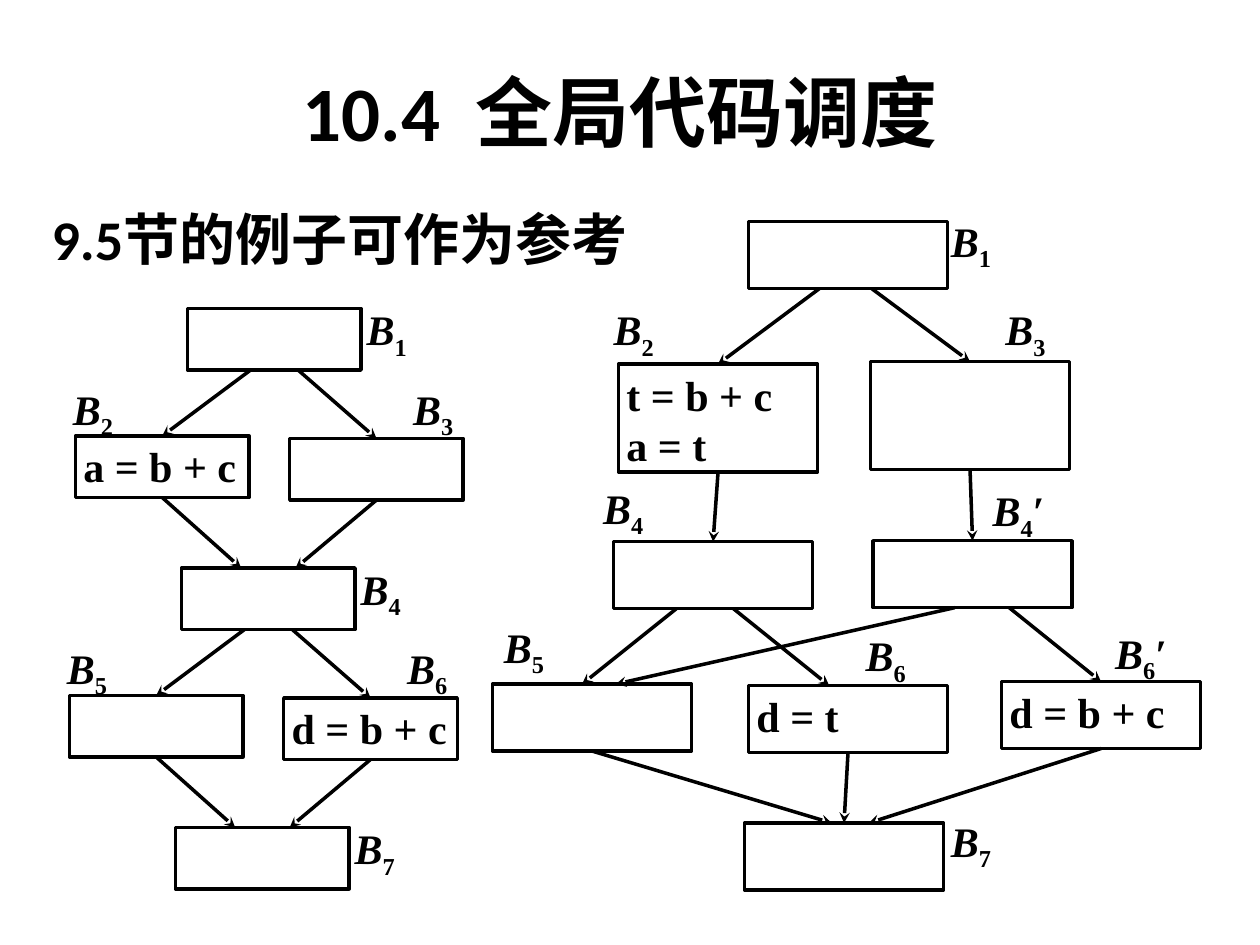
from lxml import etree
from pptx import Presentation
from pptx.dml.color import RGBColor
from pptx.enum.shapes import MSO_CONNECTOR as CONNECTOR
from pptx.enum.shapes import MSO_SHAPE as SHAPE
from pptx.enum.text import MSO_ANCHOR as ANCHOR
from pptx.enum.text import PP_ALIGN as ALIGN
from pptx.oxml.ns import qn
from pptx.util import Cm, Pt

COLORS = {"ink": "000000"}
HEADING_FONT, DIAGRAM_FONT = "Calibri", "Times New Roman"
HANGING = Cm(0.95)
BOTTOM, TOP = 2, 0

# Left graph: (name, left, top, code); B4 to B7 repeat B1 to B4 one stage below
LEFT_SIZE = (3.5, 1.24)
LEFT_STAGE = [("1", 3.78, 6.22), ("2", 1.52, 8.79), ("3", 5.84, 8.84)]
LEFT_STAGE_LABELS = [(7.14, 5.72), (1.22, 7.32), (8.08, 7.32)]
STAGE_SHIFT = (-0.12, 5.23)
LEFT_CODE = {"2": ["a = b + c"], "6": ["d = b + c"]}

# Right graph: name, box left, top, height, label left, top, code
RIGHT_WIDTH = 4.01
RIGHT_BLOCKS = [
    ("1", 15.09, 4.47, 1.35, 18.92, 3.94, []),
    ("2", 12.47, 7.34, 2.18, 12.12, 5.72, ["t = b + c", "a = t"]),
    ("3", 17.55, 7.29, 2.18, 20.02, 5.72, []),
    ("4", 12.37, 10.92, 1.35, 11.91, 9.32, []),
    ("4′", 17.6, 10.9, 1.35, 19.76, 9.37, []),
    ("5", 9.93, 13.79, 1.35, 9.91, 12.12, []),
    ("6", 15.09, 13.82, 1.35, 17.2, 12.29, ["d = t"]),
    ("6′", 20.19, 13.74, 1.35, 22.23, 12.24, ["d = b + c"]),
    ("7", 15.01, 16.59, 1.35, 18.92, 16.03, []),
]
# from, to, distance from the middle of the side at the start and at the end
RIGHT_EDGES = [
    ("1", "2", -0.58, 0), ("1", "3", 0.48, 0),
    ("2", "4", 0, 0), ("3", "4′", 0, 0),
    ("4", "5", -0.74, -0.2), ("4", "6", 0.41, -0.38),
    ("4′", "5", -0.36, 0.48), ("4′", "6′", 0.74, 0),
    ("5", "7", 0, -0.25), ("6", "7", 0, 0), ("6′", "7", 0, 0.5),
]


def ink():
    return RGBColor.from_string(COLORS["ink"])


def style(paragraph, size, font_name):
    paragraph.font.size = Pt(size)
    paragraph.font.name = font_name
    paragraph.font.bold = True
    paragraph.font.color.rgb = ink()


def hang(paragraph):
    properties = paragraph._p.get_or_add_pPr()
    properties.set("marL", str(HANGING))
    properties.set("indent", str(-HANGING))


def add_title(slide, text):
    title = slide.shapes.title
    title.left, title.top, title.width, title.height = Cm(1.07), Cm(0.64), Cm(22.86), Cm(3.18)
    title.text_frame.text = text
    title.text_frame.vertical_anchor = ANCHOR.MIDDLE
    heading = title.text_frame.paragraphs[0]
    heading.alignment = ALIGN.CENTER
    style(heading, 44, HEADING_FONT)


def add_remark(slide, text):
    frame = slide.shapes.add_textbox(Cm(0.79), Cm(3.99), Cm(12.29), Cm(1.73)).text_frame
    frame.word_wrap = True
    remark = frame.paragraphs[0]
    remark.text = text
    hang(remark)
    style(remark, 32, HEADING_FONT)


def add_label(slide, name, left, top):
    """Block name: italic B, subscript number and an optional prime."""
    width = 2.4 if name.endswith("′") else 2.1
    frame = slide.shapes.add_textbox(Cm(left), Cm(top), Cm(width), Cm(1.7)).text_frame
    frame.word_wrap = True
    label = frame.paragraphs[0]
    label.alignment = ALIGN.JUSTIFY
    label.line_spacing = 1.24
    hang(label)
    style(label, 24, DIAGRAM_FONT)
    for character in "B" + name:
        run = label.add_run()
        run.text = character
        run.font.italic = character == "B"
        if character.isdigit():
            run.font._element.set("baseline", "-25000")


def add_block(slide, left, top, width, height, code):
    block = slide.shapes.add_shape(SHAPE.RECTANGLE, Cm(left), Cm(top), Cm(width), Cm(height))
    block.shadow.inherit = False
    block.fill.background()
    block.line.color.rgb = ink()
    block.line.width = Pt(2)
    frame = block.text_frame
    frame.vertical_anchor = ANCHOR.TOP
    frame.margin_left = frame.margin_right = Cm(0.16)
    frame.margin_top = frame.margin_bottom = Cm(0.1)
    for index, statement in enumerate(code):
        line = frame.add_paragraph() if index else frame.paragraphs[0]
        line.text = statement
        line.alignment = ALIGN.JUSTIFY
        hang(line)
        style(line, 24, DIAGRAM_FONT)
    return block


def add_edge(slide, source, target, start_offset, end_offset):
    """Arrow from the bottom of source to the top of target."""
    edge = slide.shapes.add_connector(
        CONNECTOR.STRAIGHT,
        source.left + source.width // 2 + Cm(start_offset), source.top + source.height,
        target.left + target.width // 2 + Cm(end_offset), target.top)
    if not start_offset:
        edge.begin_connect(source, BOTTOM)
    if not end_offset:
        edge.end_connect(target, TOP)
    edge.line.color.rgb = ink()
    edge.line.width = Pt(2)
    etree.SubElement(edge.line._get_or_add_ln(), qn("a:tailEnd"), type="stealth")
    etree.SubElement(edge._element.spPr, qn("a:effectLst"))


def add_left_graph(slide):
    blocks = {}
    for stage in range(3):
        shift_x, shift_y = (stage * step for step in STAGE_SHIFT)
        members = 1 if stage == 2 else 3
        for (number, left, top), (label_left, label_top) in zip(
                LEFT_STAGE[:members], LEFT_STAGE_LABELS):
            name = str(int(number) + 3 * stage)
            blocks[name] = add_block(slide, left + shift_x, top + shift_y, *LEFT_SIZE,
                                     LEFT_CODE.get(name, []))
            add_label(slide, name, label_left + shift_x, label_top + shift_y)
    for first in (1, 4):
        fork, left, right, join = (blocks[str(first + step)] for step in range(4))
        for branch, side in ((left, -1), (right, 1)):
            add_edge(slide, fork, branch, side * 0.48, 0)
            add_edge(slide, branch, join, 0, side * 0.55)


def add_right_graph(slide):
    blocks = {}
    for name, left, top, height, label_left, label_top, code in RIGHT_BLOCKS:
        blocks[name] = add_block(slide, left, top, RIGHT_WIDTH, height, code)
        add_label(slide, name, label_left, label_top)
    for source, target, start_offset, end_offset in RIGHT_EDGES:
        add_edge(slide, blocks[source], blocks[target], start_offset, end_offset)


def main():
    deck = Presentation()
    deck.slide_width, deck.slide_height = Cm(25.4), Cm(19.05)
    slide = deck.slides.add_slide(deck.slide_layouts[5])
    add_title(slide, "10.4  全局代码调度")
    add_remark(slide, "9.5节的例子可作为参考")
    add_left_graph(slide)
    add_right_graph(slide)
    deck.save("out.pptx")


if __name__ == "__main__":
    main()
